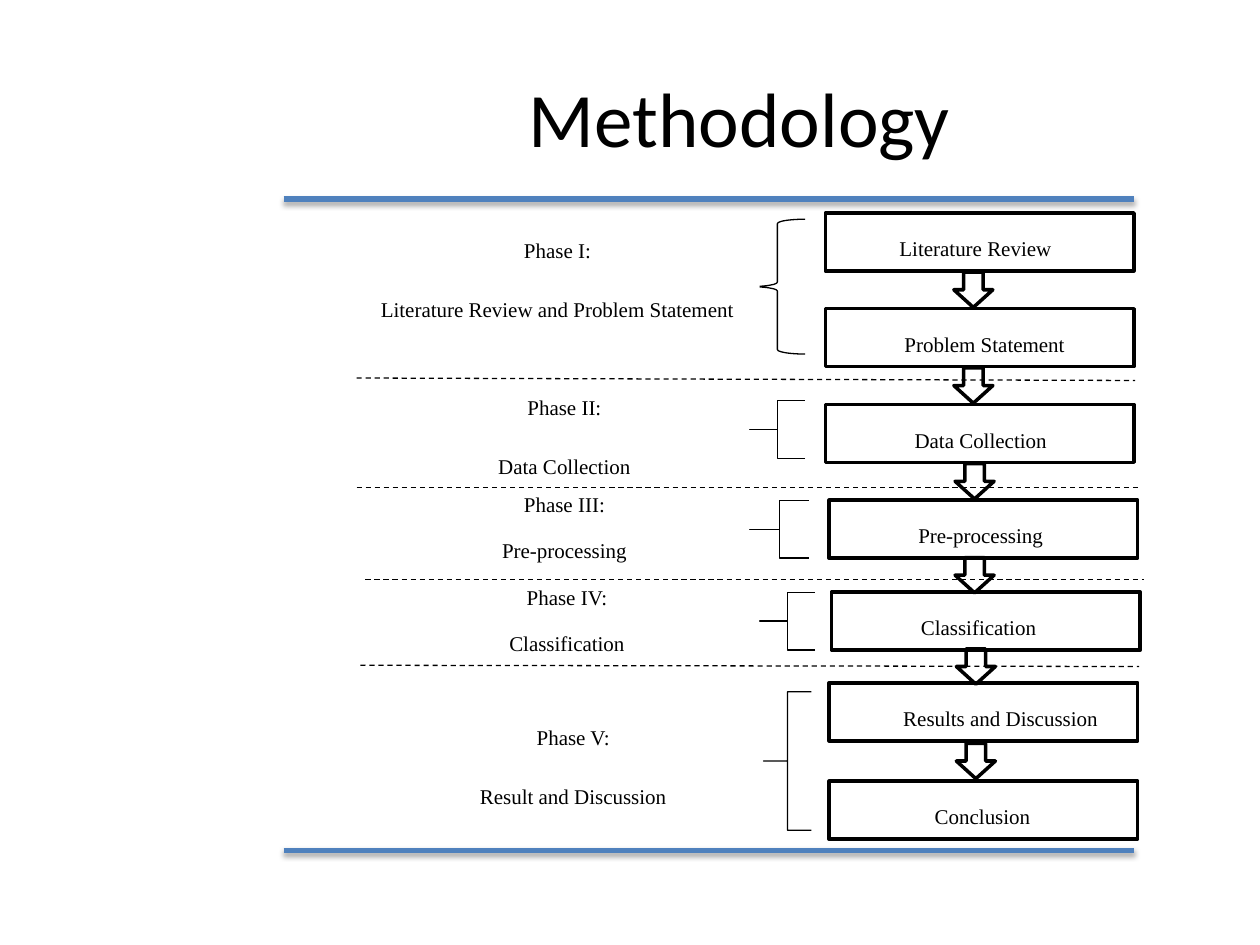
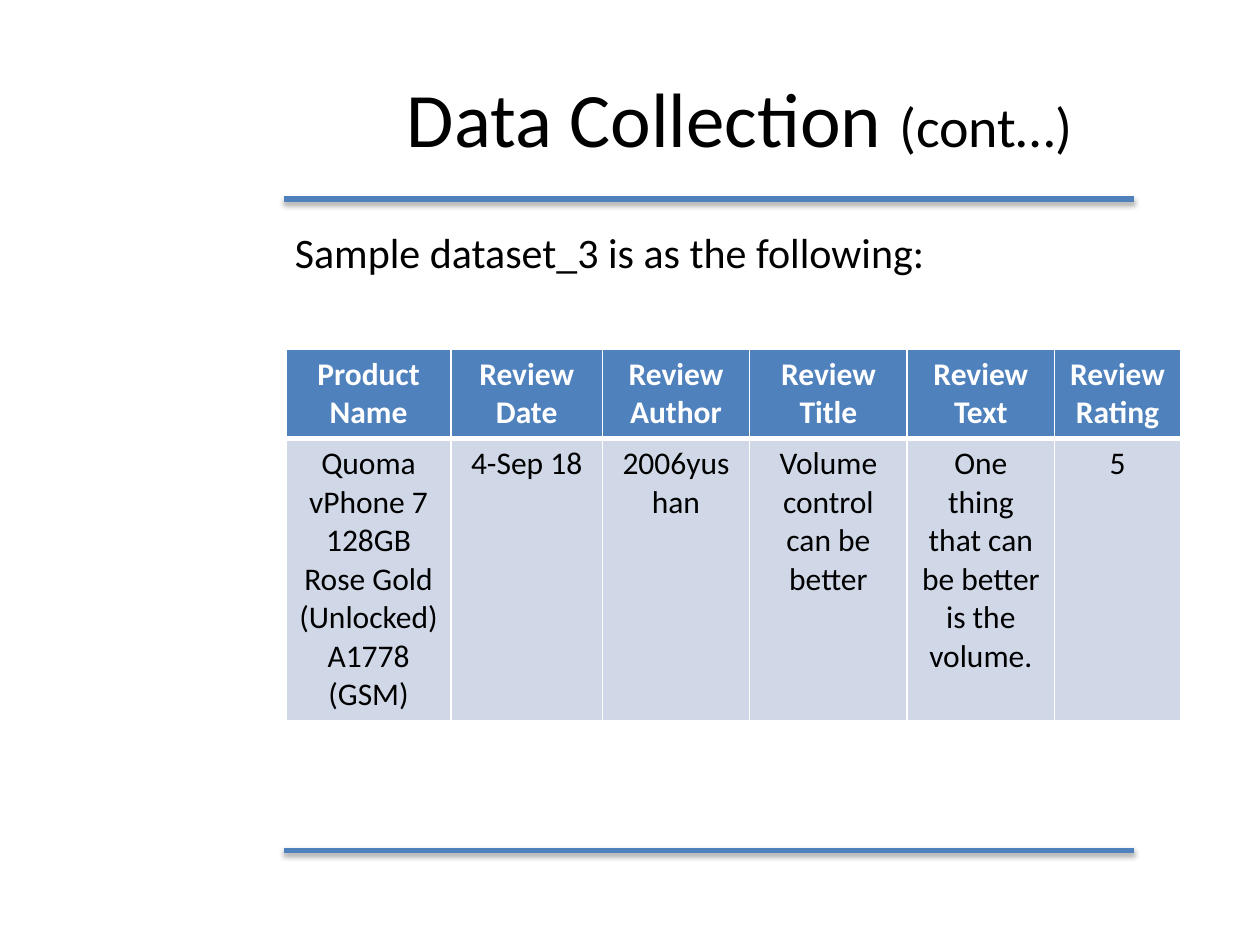
from dataclasses import dataclass
from typing import Optional

import lxml.etree
import pptx
import pptx.dml.color
import pptx.enum.dml
import pptx.enum.shapes
import pptx.enum.text
import pptx.oxml
import pptx.oxml.ns
import pptx.util

Inches = pptx.util.Inches
Pt = pptx.util.Pt
RGBColor = pptx.dml.color.RGBColor
Preset = pptx.enum.shapes.MSO_SHAPE
Align = pptx.enum.text.PP_ALIGN
Anchor = pptx.enum.text.MSO_ANCHOR

BLACK = RGBColor(0x00, 0x00, 0x00)
WHITE = RGBColor(0xFF, 0xFF, 0xFF)
BLUE = RGBColor(0x4F, 0x81, 0xBD)
PALE_BLUE = RGBColor(0xD0, 0xD8, 0xE8)
HEADING_FONT = "Calibri"
DIAGRAM_FONT = "Times New Roman"

CONTENT_LEFT, CONTENT_WIDTH = 2.24, 7.26
RULE_TOPS = (1.58, 6.75)
BOX_WIDTH, BOX_HEIGHT = 2.45, 0.46
ARROW_WIDTH, ARROW_HEIGHT = 0.31, 0.28
FIRST_LINE_INDENT = 0.49


@dataclass(frozen=True)
class Area:
    left: float
    top: float
    width: float
    height: float

    def lengths(self) -> tuple:
        return tuple(Inches(v) for v in (self.left, self.top, self.width, self.height))


@dataclass(frozen=True)
class Step:
    text: str
    left: float
    top: float
    extra_indent: float = 0


@dataclass(frozen=True)
class Phase:
    name: str
    text: str
    label: Area
    brace: Area
    line_spacing: float = 1.5
    filled: bool = False
    curl: float = 0


@dataclass(frozen=True)
class Divider:
    left: float
    start: float
    right: float
    end: float


STEPS = (
    Step("Literature Review", 6.55, 1.69),
    Step("Problem Statement", 6.55, 2.45, 0.04),
    Step("Data Collection", 6.55, 3.21, 0.12),
    Step("Pre-processing", 6.58, 3.97, 0.12),
    Step("Classification", 6.6, 4.7, 0.12),
    Step("Results and Discussion", 6.58, 5.42),
    Step("Conclusion", 6.58, 6.2, 0.25),
)
PHASES = (
    Phase("Phase I:", "Literature Review and Problem Statement",
          Area(2.33, 1.74, 3.7, 1.07), Area(5.95, 1.74, 0.44, 1.07), filled=True, curl=0.08),
    Phase("Phase II:", "Data Collection",
          Area(2.82, 2.98, 2.83, 0.91), Area(5.95, 3.18, 0.44, 0.46)),
    Phase("Phase III:", "Pre-processing",
          Area(2.82, 3.85, 2.83, 0.71), Area(5.95, 3.97, 0.47, 0.46), line_spacing=1),
    Phase("Phase IV:", "Classification",
          Area(2.84, 4.59, 2.83, 0.81), Area(6.03, 4.7, 0.44, 0.46), line_spacing=1),
    Phase("Phase V:", "Result and Discussion",
          Area(2.89, 5.6, 2.83, 1.03), Area(6.06, 5.49, 0.38, 1.1), filled=True),
)
DIVIDERS = (
    Divider(2.83, 3.0, 9.01, 3.02),
    Divider(2.83, 3.87, 9.04, 3.87),
    Divider(2.9, 4.6, 9.08, 4.6),
    Divider(2.86, 5.28, 9.04, 5.29),
)
REVIEW_COLUMNS = (
    ("Product Name", "Quoma vPhone 7 128GB Rose Gold (Unlocked) A1778 (GSM)", 1.31),
    ("Review Date", "4-Sep 18", 1.2),
    ("Review Author", "2006yushan", 1.17),
    ("Review Title", "Volume control can be better", 1.25),
    ("Review Text", "One thing that can be better is the volume.", 1.17),
    ("Review Rating", "5", 1),
)


def add_run(paragraph, text: str, size: float, font: str = HEADING_FONT,
            color: RGBColor = BLACK, bold: bool = False) -> None:
    run = paragraph.add_run()
    run.text = text
    run.font.name = font
    run.font.size = Pt(size)
    run.font.color.rgb = color
    run.font.bold = bold


def set_indent(paragraph, first_line: float) -> None:
    properties = paragraph._p.get_or_add_pPr()
    properties.set("marL", "0")
    properties.set("indent", str(Inches(first_line)))


def add_line(slide, start: tuple, end: tuple, color: RGBColor, width: float,
             shadow: bool = False):
    line = slide.shapes.add_connector(
        pptx.enum.shapes.MSO_CONNECTOR.STRAIGHT, *(Inches(v) for v in (*start, *end)))
    line.line.color.rgb = color
    line.line.width = Pt(width)
    effects = lxml.etree.SubElement(line._element.spPr, pptx.oxml.ns.qn("a:effectLst"))
    if shadow:
        effects.append(pptx.oxml.parse_xml(
            f'<a:outerShdw {pptx.oxml.ns.nsdecls("a")} blurRad="{Pt(3.1)}" dist="{Pt(1.8)}" '
            'dir="5400000" rotWithShape="0"><a:srgbClr val="000000">'
            '<a:alpha val="35000"/></a:srgbClr></a:outerShdw>'))
    return line


def add_preset(slide, preset, area: Area, line_width: float = 0,
               fill: Optional[RGBColor] = None):
    shape = slide.shapes.add_shape(preset, *area.lengths())
    shape.shadow.inherit = False
    if fill is None:
        shape.fill.background()
    else:
        shape.fill.solid()
        shape.fill.fore_color.rgb = fill
    if line_width:
        shape.line.color.rgb = BLACK
        shape.line.width = Pt(line_width)
    else:
        shape.line.fill.background()
    return shape


def add_diagram_text(paragraph, text: str, alignment, line_spacing: float,
                     indent: float = FIRST_LINE_INDENT) -> None:
    set_indent(paragraph, indent)
    paragraph.alignment = alignment
    paragraph.line_spacing = line_spacing
    paragraph.space_after = Pt(12)
    add_run(paragraph, text, 12, DIAGRAM_FONT)


def add_framed_slide(presentation, layout_index: int, title_runs: tuple):
    """Add a slide with the shared title and the two blue rules."""
    slide = presentation.slides.add_slide(presentation.slide_layouts[layout_index])
    for top in RULE_TOPS:
        add_line(slide, (2.25, top), (9, top), BLUE, 3, shadow=True)
    title = slide.shapes.title
    title.left, title.top, title.width, title.height = Area(
        CONTENT_LEFT, 0.3, CONTENT_WIDTH, 1.25).lengths()
    title.text_frame.vertical_anchor = Anchor.MIDDLE
    paragraph = title.text_frame.paragraphs[0]
    paragraph.alignment = Align.CENTER
    for text, size in title_runs:
        add_run(paragraph, text, size)
    return slide


def add_step(slide, step: Step) -> None:
    box = add_preset(slide, Preset.RECTANGLE,
                     Area(step.left, step.top, BOX_WIDTH, BOX_HEIGHT), 2)
    box.text_frame.word_wrap = True
    box.text_frame.vertical_anchor = Anchor.MIDDLE
    add_diagram_text(box.text_frame.paragraphs[0], step.text, Align.LEFT, 1.5,
                     FIRST_LINE_INDENT + step.extra_indent)


def add_phase(slide, phase: Phase) -> None:
    brace = add_preset(slide, Preset.LEFT_BRACE, phase.brace, 0.75)
    brace.adjustments[0] = phase.curl
    brace.adjustments[1] = 0.5
    if phase.filled:
        label = add_preset(slide, Preset.RECTANGLE, phase.label, fill=WHITE)
    else:
        label = slide.shapes.add_textbox(*phase.label.lengths())
    frame = label.text_frame
    frame.word_wrap = True
    frame.vertical_anchor = Anchor.TOP
    for paragraph, text in ((frame.paragraphs[0], phase.name),
                            (frame.add_paragraph(), phase.text)):
        add_diagram_text(paragraph, text, Align.CENTER, phase.line_spacing)


def build_methodology(presentation) -> None:
    slide = add_framed_slide(presentation, 5, (("Methodology", 44),))
    for divider in DIVIDERS:
        line = add_line(slide, (divider.left, divider.start),
                        (divider.right, divider.end), BLACK, 0.75)
        line.line.dash_style = pptx.enum.dml.MSO_LINE.DASH
    for phase in PHASES:
        add_phase(slide, phase)
    for step in STEPS:
        add_step(slide, step)
    for index, (upper, lower) in enumerate(zip(STEPS, STEPS[1:])):
        gap_middle = (upper.top + BOX_HEIGHT + lower.top) / 2
        add_preset(slide, Preset.DOWN_ARROW,
                   Area(7.57 + 0.01 * (index // 2), gap_middle - ARROW_HEIGHT / 2,
                        ARROW_WIDTH, ARROW_HEIGHT), 2)


def set_cell_borders(cell, top: float, bottom: float) -> None:
    properties = cell._tc.get_or_add_tcPr()
    for side, width in (("L", 1), ("R", 1), ("T", top), ("B", bottom)):
        properties.append(pptx.oxml.parse_xml(
            f'<a:ln{side} {pptx.oxml.ns.nsdecls("a")} w="{Pt(width)}"><a:solidFill>'
            f'<a:srgbClr val="{WHITE}"/></a:solidFill></a:ln{side}>'))


def fill_cell(cell, text: str, is_header: bool) -> None:
    set_cell_borders(cell, *((1, 3) if is_header else (3, 1)))
    cell.fill.solid()
    cell.fill.fore_color.rgb = BLUE if is_header else PALE_BLUE
    paragraph = cell.text_frame.paragraphs[0]
    paragraph.alignment = Align.CENTER
    add_run(paragraph, text, 18, color=WHITE if is_header else BLACK, bold=is_header)


def build_data_collection(presentation) -> None:
    slide = add_framed_slide(presentation, 1, (("Data Collection ", 44), ("(cont…)", 32)))
    body = slide.placeholders[1]
    body.left, body.top, body.width, body.height = Area(
        CONTENT_LEFT, 1.75, CONTENT_WIDTH, 4.95).lengths()
    paragraph = body.text_frame.paragraphs[0]
    set_indent(paragraph, 0)
    paragraph.space_before = Pt(0)
    lxml.etree.SubElement(paragraph._p.get_or_add_pPr(), pptx.oxml.ns.qn("a:buNone"))
    add_run(paragraph, "Sample dataset_3 is as the following:", 24)

    table = slide.shapes.add_table(
        2, len(REVIEW_COLUMNS), *Area(2.27, 2.77, 7.1, 2.9).lengths()).table
    table.horz_banding = False
    for row, height in zip(table.rows, (0.7, 2.2)):
        row.height = Inches(height)
    for index, (heading, value, width) in enumerate(REVIEW_COLUMNS):
        table.columns[index].width = Inches(width)
        fill_cell(table.cell(0, index), heading, True)
        fill_cell(table.cell(1, index), value, False)


def main() -> None:
    presentation = pptx.Presentation()
    presentation.slide_width = Inches(10)
    presentation.slide_height = Inches(7.5)
    build_methodology(presentation)
    build_data_collection(presentation)
    presentation.save("out.pptx")


if __name__ == "__main__":
    main()
